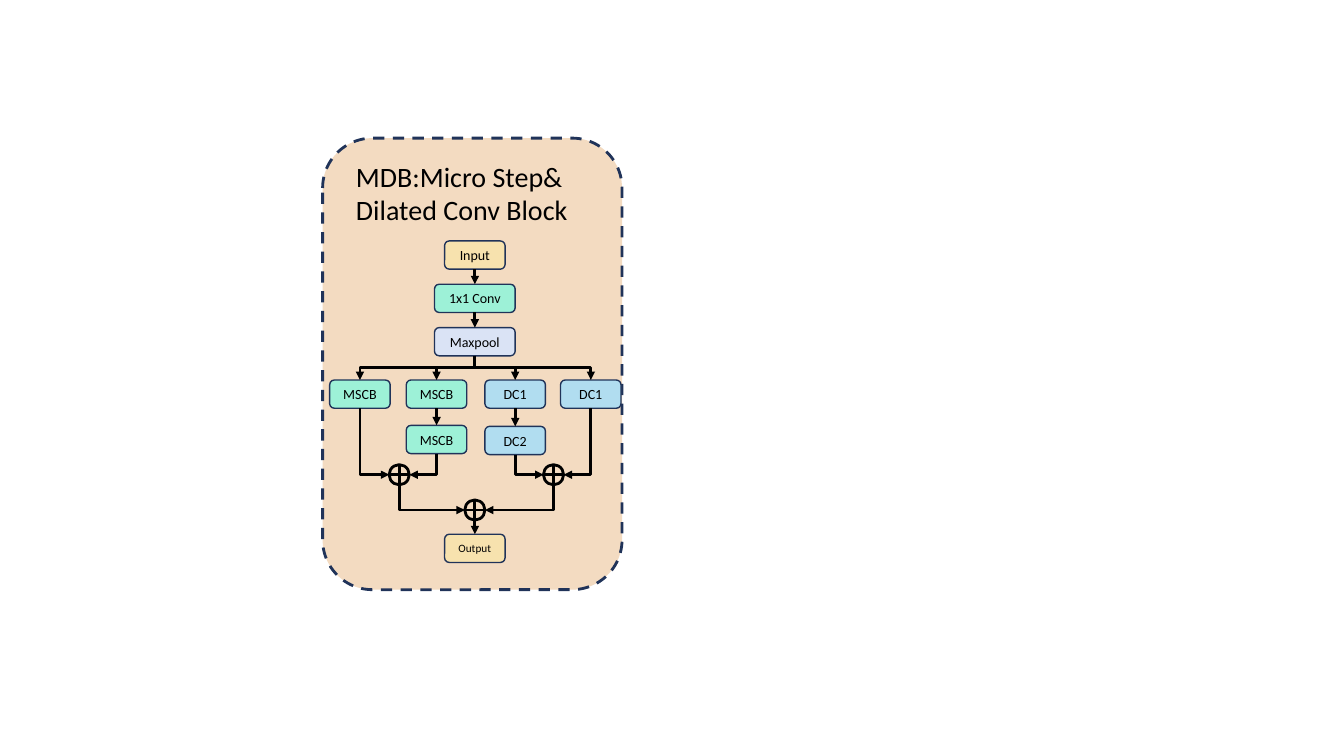
"""Builds the slide with the MDB block diagram."""
from lxml import etree
from pptx import Presentation
from pptx.dml.color import RGBColor
from pptx.enum.dml import MSO_LINE
from pptx.enum.shapes import MSO_CONNECTOR, MSO_SHAPE
from pptx.enum.text import MSO_ANCHOR, MSO_AUTO_SIZE, PP_ALIGN
from pptx.oxml.ns import qn
from pptx.util import Pt

PX = 9144
TITLE_ONLY = 5
FONT = "Calibri"
ROUNDED, ELLIPSE = MSO_SHAPE.ROUNDED_RECTANGLE, MSO_SHAPE.OVAL
STRAIGHT, ELBOW = MSO_CONNECTOR.STRAIGHT, MSO_CONNECTOR.ELBOW
TOP, MIDDLE = MSO_ANCHOR.TOP, MSO_ANCHOR.MIDDLE
LEFT, CENTER = PP_ALIGN.LEFT, PP_ALIGN.CENTER
DASH, NO_AUTOFIT = MSO_LINE.DASH, MSO_AUTO_SIZE.NONE
TOP_SIDE, BOTTOM_SIDE = 0, 2

BLACK = RGBColor(0x00, 0x00, 0x00)
NAVY = RGBColor(0x20, 0x33, 0x59)
PEACH = RGBColor(0xF3, 0xDB, 0xC1)
SAND = RGBColor(0xF7, 0xE2, 0xAE)
MINT = RGBColor(0x9D, 0xF1, 0xD7)
LAVENDER = RGBColor(0xDA, 0xE3, 0xF5)
SKY = RGBColor(0xB1, 0xDD, 0xF0)

BOX_HEIGHT = 28
RADIUS = 10
TRUNK = 471
COLUMNS = (357, 433, 511, 586)
BRANCH_TOP = 377


def emu(*lengths):
    """Turn px lengths into EMU."""
    return [int(length * PX) for length in lengths]


def write(frame, text, size, align, anchor):
    """Write one black run into a text frame."""
    frame.word_wrap = True
    frame.vertical_anchor = anchor
    paragraph = frame.paragraphs[0]
    paragraph.alignment = align
    run = paragraph.add_run()
    run.text = text
    run.font.name = FONT
    run.font.size = Pt(size)
    run.font.color.rgb = BLACK


def add_outlined(shapes, preset, area, fill, line, weight):
    """Add a shape with an outline and an optional fill."""
    shape = shapes.add_shape(preset, *emu(*area))
    shape.shadow.inherit = False
    if fill is None:
        shape.fill.background()
    else:
        shape.fill.solid()
        shape.fill.fore_color.rgb = fill
    shape.line.color.rgb = line
    shape.line.width = Pt(weight)
    return shape


def add_stage(shapes, label, center, top, fill, width=60, size=10):
    """Add a labelled stage centred on a column."""
    area = (center - width // 2, top, width, BOX_HEIGHT)
    stage = add_outlined(shapes, ROUNDED, area, fill, NAVY, 1)
    frame = stage.text_frame
    frame.margin_left = frame.margin_right = 0
    frame.margin_top = frame.margin_bottom = 0
    write(frame, label, size, CENTER, MIDDLE)
    return stage


def add_line(shapes, kind, start, end, arrow=True):
    """Add a black connector, with an arrowhead if wanted."""
    connector = shapes.add_connector(kind, *emu(*start, *end))
    connector.line.color.rgb = BLACK
    connector.line.width = Pt(2)
    properties = connector.element.spPr
    if arrow:
        outline = properties.find(qn("a:ln"))
        etree.SubElement(outline, qn("a:tailEnd")).set("type", "triangle")
    etree.SubElement(properties, qn("a:effectLst"))
    return connector


def add_flow(shapes, source, target):
    """Join two stacked stages with an arrow."""
    arrow = add_line(shapes, STRAIGHT, (0, 0), (0, 0))
    arrow.begin_connect(source, BOTTOM_SIDE)
    arrow.end_connect(target, TOP_SIDE)


def add_elbow(shapes, start, end, preset):
    """Add a bent arrow that leaves downwards."""
    (x1, y1), (x2, y2) = start, end
    middle_x, middle_y = (x1 + x2) / 2, (y1 + y2) / 2
    half_run, half_drop = abs(x2 - x1) / 2, (y2 - y1) / 2
    turn = 1 if x2 < x1 else -1
    arrow = add_line(
        shapes, ELBOW,
        (middle_x - turn * half_drop, middle_y - half_run),
        (middle_x + turn * half_drop, middle_y + half_run))
    properties = arrow.element.spPr
    rotation = 90 if turn == 1 else 270
    properties.find(qn("a:xfrm")).set("rot", str(rotation * 60000))
    properties.find(qn("a:prstGeom")).set("prst", preset)


def add_sum(shapes, x, y):
    """Add a circled plus around a point."""
    area = (x - RADIUS, y - RADIUS, 2 * RADIUS, 2 * RADIUS)
    add_outlined(shapes, ELLIPSE, area, None, BLACK, 2)
    add_line(shapes, STRAIGHT, (x - RADIUS, y), (x + RADIUS, y), arrow=False)
    add_line(shapes, STRAIGHT, (x, y - RADIUS), (x, y + RADIUS), arrow=False)


def add_merge(shapes, x, y, left_start, right_start):
    """Add a sum fed by a bent arrow from either side."""
    add_sum(shapes, x, y)
    add_elbow(shapes, left_start, (x - RADIUS, y), "bentConnector2")
    add_elbow(shapes, right_start, (x + RADIUS, y), "bentConnector2")
    return x, y + RADIUS


def add_heading(shapes):
    """Place the title on its dashed panel."""
    panel = add_outlined(shapes, ROUNDED, (320, 137, 297, 448), PEACH, NAVY, 2)
    panel.line.dash_style = DASH
    title = shapes.title
    title.element.addprevious(panel.element)
    title.left, title.top, title.width, title.height = emu(343, 153, 276, 77)
    title.text_frame.auto_size = NO_AUTOFIT
    write(title.text_frame, "MDB:Micro Step& Dilated Conv Block", 20, LEFT, TOP)


def main():
    """Build and save the slide."""
    deck = Presentation()
    deck.slide_width, deck.slide_height = emu(1333, 750)
    slide = deck.slides.add_slide(deck.slide_layouts[TITLE_ONLY])
    shapes = slide.shapes
    add_heading(shapes)

    source = add_stage(shapes, "Input", TRUNK, 239, SAND)
    conv = add_stage(shapes, "1x1 Conv", TRUNK, 282, MINT, width=80)
    maxpool = add_stage(shapes, "Maxpool", TRUNK, 325, LAVENDER, width=80)
    add_flow(shapes, source, conv)
    add_flow(shapes, conv, maxpool)

    branches = []
    labels = (("MSCB", MINT), ("MSCB", MINT), ("DC1", SKY), ("DC1", SKY))
    for column, (label, fill) in zip(COLUMNS, labels):
        branches.append(add_stage(shapes, label, column, BRANCH_TOP, fill))
        add_elbow(shapes, (TRUNK, 325 + BOX_HEIGHT), (column, BRANCH_TOP),
                  "bentConnector3")

    outer_left, inner_left, inner_right, outer_right = COLUMNS
    second_mscb = add_stage(shapes, "MSCB", inner_left, 422, MINT)
    dc2 = add_stage(shapes, "DC2", inner_right, 423, SKY)
    add_flow(shapes, branches[1], second_mscb)
    add_flow(shapes, branches[2], dc2)

    branch_end = BRANCH_TOP + BOX_HEIGHT
    mscb_sum = add_merge(shapes, 396, 471, (outer_left, branch_end),
                         (inner_left, 422 + BOX_HEIGHT))
    dilated_sum = add_merge(shapes, 549, 471, (inner_right, 423 + BOX_HEIGHT),
                            (outer_right, branch_end))
    total = add_merge(shapes, TRUNK, 506, mscb_sum, dilated_sum)

    output = add_stage(shapes, "Output", TRUNK, 530, SAND, size=8)
    last_arrow = add_line(shapes, STRAIGHT, total, (TRUNK, 530))
    last_arrow.end_connect(output, TOP_SIDE)
    deck.save("out.pptx")


if __name__ == "__main__":
    main()
